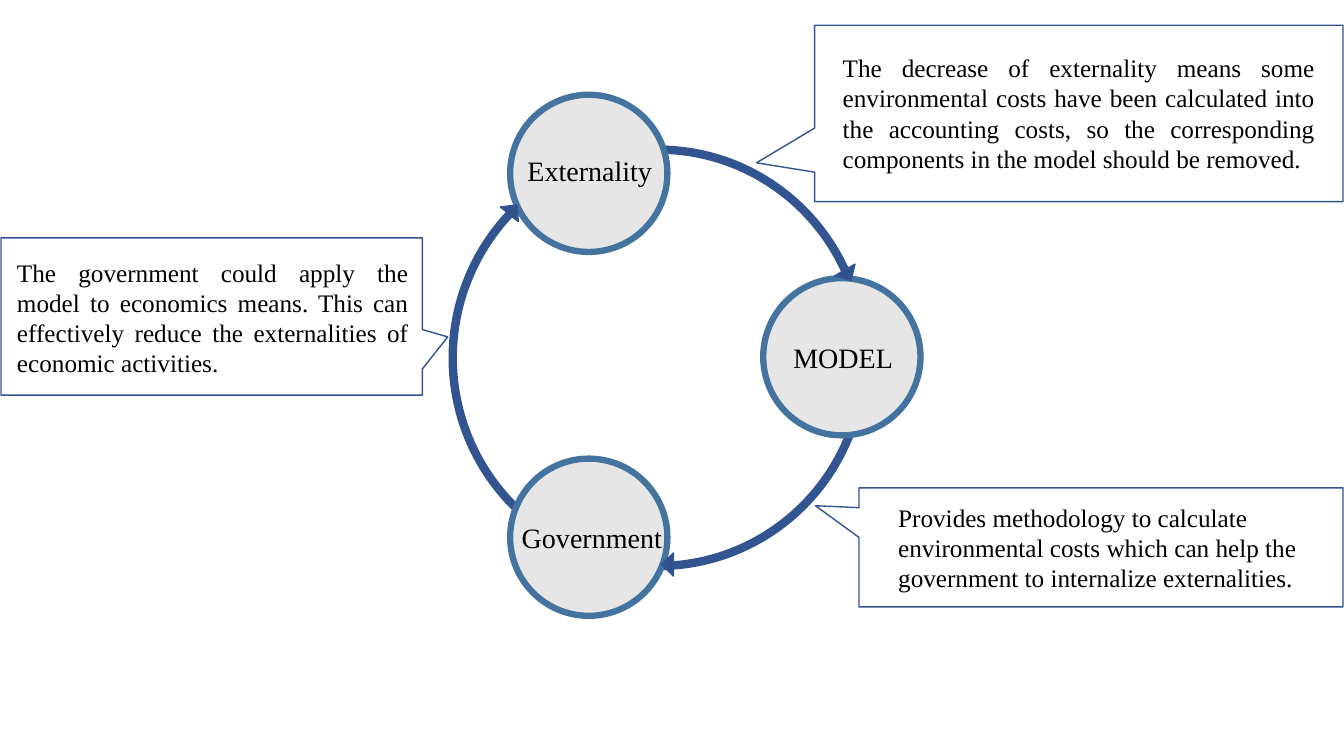
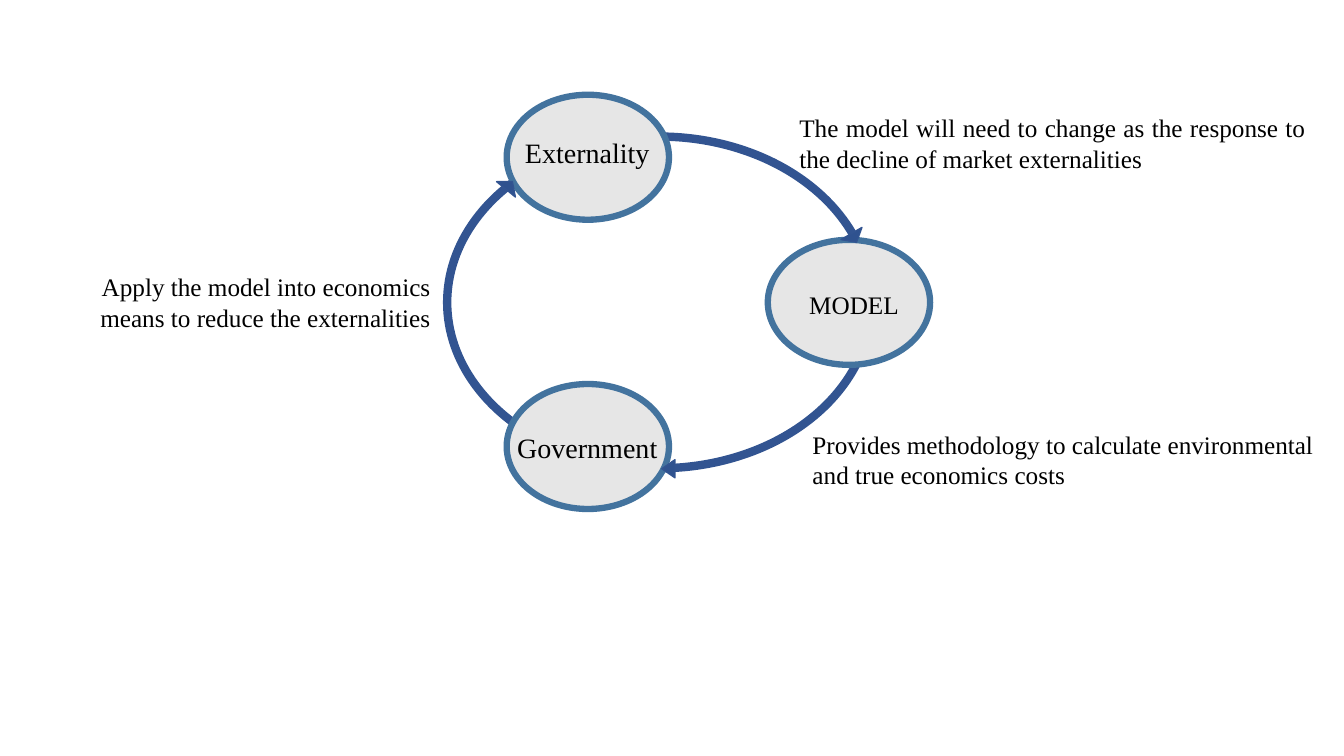
from pptx import Presentation
from pptx.dml.color import RGBColor
from pptx.enum.shapes import MSO_SHAPE
from pptx.enum.text import MSO_ANCHOR, PP_ALIGN
from pptx.util import Inches, Pt

OVAL, TRIANGLE = MSO_SHAPE.OVAL, MSO_SHAPE.ISOSCELES_TRIANGLE
CALLOUT = MSO_SHAPE.RECTANGULAR_CALLOUT
LEFT, CENTER, RIGHT, JUSTIFY = PP_ALIGN.LEFT, PP_ALIGN.CENTER, PP_ALIGN.RIGHT, PP_ALIGN.JUSTIFY
TOP, MIDDLE = MSO_ANCHOR.TOP, MSO_ANCHOR.MIDDLE

COLORS = {"ring": "325491", "arrow": "2F528F", "node": "E6E6E6",
          "rim": "43739E", "text": "000000"}
FONT = "Times New Roman"
LABEL_HEIGHT = 0.44
NOTE_SIZE = 18
ARROW_ANGLES = (39.3, 149.9, 270)

# The grid has one-inch cells. Ring, nodes and arrows are placed by centre;
# labels, callouts and notes by left, top, width and height.
CYCLES = [
    {
        "ring": (6.53, 3.55, 4.08, 4.13),
        "node_size": (1.56, 1.56),
        "nodes": [
            ("MODEL", (8.35, 3.54), (7.77, 3.33, 1.24), 20, LEFT),
            ("Externality", (5.84, 1.72), (5.07, 1.47, 1.56), 20, CENTER),
            ("Government", (5.84, 5.33), (5.03, 5.11, 1.68), 20, CENTER),
        ],
        "arrows": [(5.09, 2.08, 0.23, 0.12), (8.41, 2.73, 0.23, 0.12),
                   (6.62, 5.6, 0.23, 0.12)],
        "callouts": [
            ((8.08, 0.25, 5.24, 1.75), (-0.61, 0.28)),
            ((8.52, 4.84, 4.8, 1.18), (-0.59, -0.35)),
            ((0.01, 2.36, 4.18, 1.56), (0.56, 0.13)),
        ],
        "notes": [
            ("Provides methodology to calculate environmental costs which can "
             "help the government to internalize externalities.",
             (8.81, 4.93, 4.22, 1.01), LEFT, TOP),
            ("The decrease of externality means some environmental costs have been "
             "calculated into the accounting costs, so the corresponding components "
             "in the model should be removed.",
             (8.26, 0.47, 4.88, 1.31), JUSTIFY, TOP),
            ("The government could apply the model to economics means. This can "
             "effectively reduce the externalities of economic activities.",
             (0.07, 2.5, 4.08, 1.31), JUSTIFY, TOP),
        ],
    },
    {
        "ring": (6.54, 3, 4.21, 3.29),
        "node_size": (1.61, 1.24),
        "nodes": [
            ("MODEL", (8.42, 3), (7.83, 2.82, 1.28), 18, CENTER),
            ("Externality", (5.83, 1.56), (5.02, 1.3, 1.61), 20, CENTER),
            ("Government", (5.83, 4.43), (4.96, 4.22, 1.73), 20, CENTER),
        ],
        "arrows": [(5.05, 1.84, 0.24, 0.1), (8.47, 2.36, 0.24, 0.1),
                   (6.63, 4.65, 0.18, 0.13)],
        "callouts": [],
        "notes": [
            ("Provides methodology to calculate environmental and true economics costs",
             (7.96, 4.21, 5.22, 0.57), LEFT, TOP),
            ("The model will need to change as the response to the decline of "
             "market externalities",
             (7.83, 1.07, 5.22, 0.57), JUSTIFY, TOP),
            ("Apply the model into economics means to reduce the externalities",
             (0.41, 2.71, 3.96, 0.57), RIGHT, MIDDLE),
        ],
    },
]


def add_outline(page, kind, frame, line, weight, fill=None, centred=True):
    """Add a preset shape, placed by its centre or by its top left corner."""
    x, y, width, height = frame
    if centred:
        x, y = x - width / 2, y - height / 2
    shape = page.shapes.add_shape(kind, *map(Inches, (x, y, width, height)))
    shape.shadow.inherit = False
    if fill:
        shape.fill.solid()
        shape.fill.fore_color.rgb = RGBColor.from_string(COLORS[fill])
    else:
        shape.fill.background()
    shape.line.color.rgb = RGBColor.from_string(COLORS[line])
    shape.line.width = Pt(weight)
    return shape


def add_text(page, text, frame, size, align, anchor=TOP):
    """Add a wrapped text box with one paragraph."""
    box = page.shapes.add_textbox(*map(Inches, frame))
    box.text_frame.word_wrap = True
    box.text_frame.vertical_anchor = anchor
    para = box.text_frame.paragraphs[0]
    para.alignment = align
    span = para.add_run()
    span.text = text
    for name, value in {"name": FONT, "size": Pt(size)}.items():
        setattr(span.font, name, value)
    span.font.color.rgb = RGBColor.from_string(COLORS["text"])


deck = Presentation()
deck.slide_width, deck.slide_height = Inches(13.33), Inches(7.5)
blank_layout = deck.slide_layouts[6]

for cycle in CYCLES:
    page = deck.slides.add_slide(blank_layout)
    add_outline(page, OVAL, cycle["ring"], "ring", 6)

    for name, center, label_place, size, align in cycle["nodes"]:
        add_outline(page, OVAL, center + cycle["node_size"], "rim", 4.5, "node")
        add_text(page, name, label_place + (LABEL_HEIGHT,), size, align)

    for frame, angle in zip(cycle["arrows"], ARROW_ANGLES):
        arrow = add_outline(page, TRIANGLE, frame, "ring", 1, "arrow")
        arrow.rotation = angle

    for frame, tip in cycle["callouts"]:
        callout = add_outline(page, CALLOUT, frame, "ring", 1, centred=False)
        for index, share in enumerate(tip):
            callout.adjustments[index] = share

    for text, frame, align, anchor in cycle["notes"]:
        add_text(page, text, frame, NOTE_SIZE, align, anchor)

deck.save("out.pptx")
